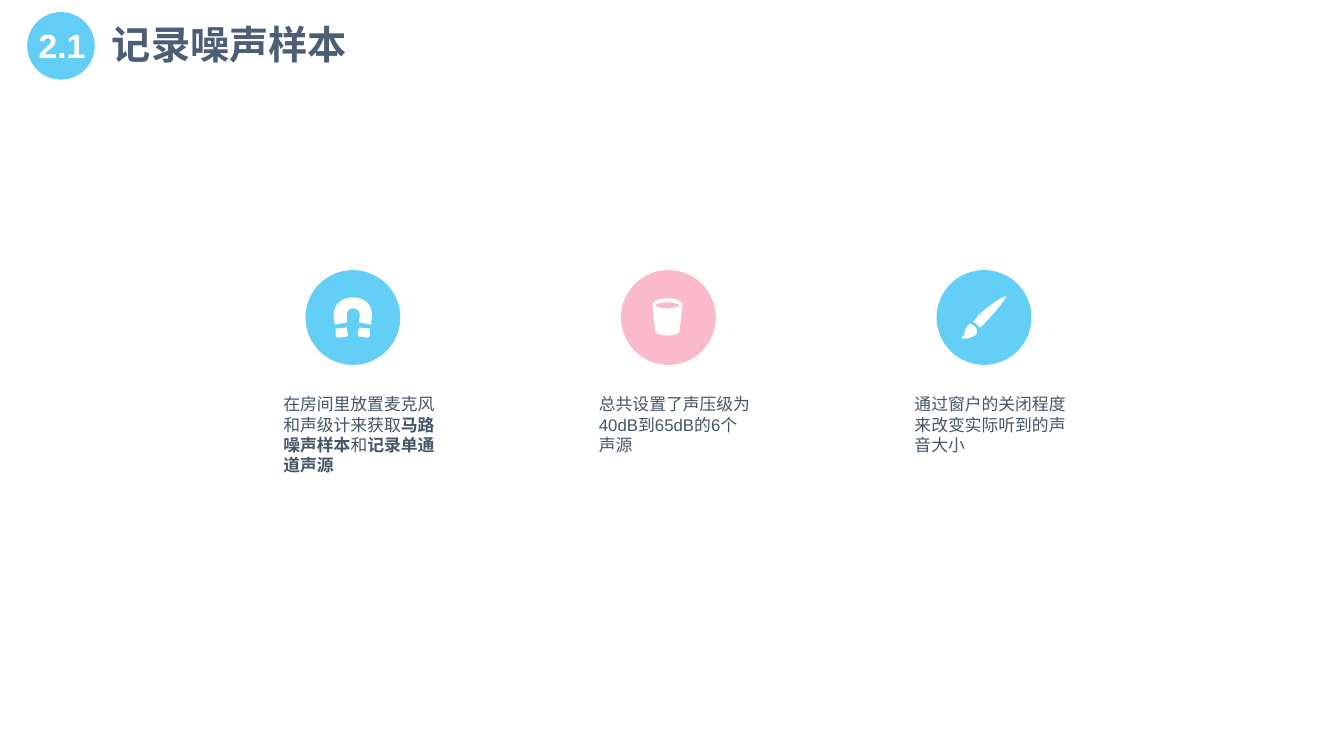
"""Build the slide on recording noise samples, with three icon columns."""
from dataclasses import dataclass

from lxml.etree import SubElement
from pptx import Presentation
from pptx.dml.color import RGBColor
from pptx.enum.shapes import MSO_SHAPE
from pptx.enum.text import MSO_ANCHOR, MSO_AUTO_SIZE, PP_ALIGN
from pptx.oxml.ns import qn
from pptx.shapes.autoshape import Shape
from pptx.slide import Slide
from pptx.util import Inches, Pt

Step = tuple[float, ...]
Contour = tuple[Step, ...]


@dataclass(frozen=True)
class Theme:
    font: str = "Arial"
    sky: str = "63CFF6"
    pink: str = "FBB9CC"
    badge: str = "00B0F0"
    badge_opacity: int = 61
    white: str = "FFFFFF"
    body: str = "445469"
    heading: str = "4B5E75"
    body_size: int = 12
    number_size: int = 24
    heading_size: int = 28


@dataclass(frozen=True)
class Phrase:
    text: str
    bold: bool = False


@dataclass(frozen=True)
class Column:
    color: str
    icon: tuple[Contour, ...]
    phrases: tuple[Phrase, ...]
    text_height: float


THEME = Theme()
COLUMN_LEFT, COLUMN_PITCH, DISC_TOP, DISC_SIZE = 3.03, 3.13, 2.68, 0.94
TEXT_INDENT, TEXT_TOP, TEXT_WIDTH = -0.22, 3.91, 1.51
CURVE_STEPS = 8

MAGNET: tuple[Contour, ...] = (
    ((0.52, 0.64), (0.52, 0.65, 0.53, 0.66, 0.54, 0.66), (0.62, 0.67),
     (0.63, 0.67, 0.63, 0.66, 0.64, 0.65), (0.64, 0.58), (0.53, 0.57)),
    ((0.30, 0.58), (0.30, 0.65), (0.30, 0.66, 0.31, 0.67, 0.32, 0.67),
     (0.41, 0.66), (0.41, 0.66, 0.42, 0.65, 0.42, 0.64), (0.41, 0.57)),
    ((0.28, 0.46), (0.29, 0.54), (0.41, 0.52), (0.41, 0.44),
     (0.41, 0.41, 0.43, 0.38, 0.47, 0.38), (0.51, 0.38, 0.54, 0.41, 0.54, 0.44),
     (0.53, 0.52), (0.65, 0.54), (0.66, 0.44),
     (0.66, 0.34, 0.58, 0.27, 0.47, 0.27), (0.36, 0.27, 0.28, 0.34, 0.28, 0.44)),
)
BUCKET: tuple[Contour, ...] = (
    ((0.46, 0.28), (0.36, 0.28, 0.31, 0.32, 0.31, 0.34), (0.34, 0.61),
     (0.34, 0.62, 0.39, 0.65, 0.46, 0.65), (0.53, 0.65, 0.58, 0.62, 0.58, 0.61),
     (0.61, 0.34), (0.61, 0.32, 0.55, 0.28, 0.46, 0.28)),
    ((0.46, 0.38), (0.39, 0.38, 0.34, 0.36, 0.34, 0.35),
     (0.34, 0.34, 0.39, 0.32, 0.46, 0.32), (0.53, 0.32, 0.58, 0.34, 0.58, 0.35),
     (0.58, 0.36, 0.53, 0.38, 0.46, 0.38)),
)
BRUSH: tuple[Contour, ...] = (
    ((0.31, 0.55), (0.27, 0.58, 0.30, 0.62, 0.25, 0.67),
     (0.23, 0.69, 0.34, 0.68, 0.39, 0.64), (0.41, 0.61, 0.40, 0.58, 0.38, 0.56),
     (0.35, 0.53, 0.32, 0.53, 0.31, 0.55)),
    ((0.69, 0.26), (0.67, 0.24, 0.47, 0.39, 0.41, 0.45),
     (0.39, 0.48, 0.38, 0.50, 0.36, 0.51), (0.37, 0.52),
     (0.38, 0.52, 0.39, 0.52, 0.40, 0.54), (0.42, 0.56), (0.43, 0.57),
     (0.44, 0.56, 0.46, 0.55, 0.48, 0.52), (0.54, 0.47, 0.70, 0.27, 0.69, 0.26)),
)

COLUMNS = (
    Column(THEME.sky, MAGNET, (
        Phrase("在房间里放置麦克风和声级计来获取"), Phrase("马路噪声样本", True),
        Phrase("和"), Phrase("记录单通道声源", True)), 0.81),
    Column(THEME.pink, BUCKET,
           (Phrase("总共设置了声压级为40dB到65dB的6个声源"),), 0.61),
    Column(THEME.sky, BRUSH,
           (Phrase("通过窗户的关闭程度来改变实际听到的声音大小"),), 0.61),
)


def paint(shape: Shape, color: str) -> None:
    """Give a shape a flat fill without outline or shadow."""
    shape.shadow.inherit = False
    shape.fill.solid()
    shape.fill.fore_color.rgb = RGBColor.from_string(color)
    shape.line.fill.background()


def add_disc(slide: Slide, left: float, top: float, size: float, color: str) -> Shape:
    """Draw a filled circle."""
    disc = slide.shapes.add_shape(
        MSO_SHAPE.OVAL, Inches(left), Inches(top), Inches(size), Inches(size))
    paint(disc, color)
    return disc


def trace(contour: Contour) -> list[tuple[float, float]]:
    """Turn points and cubic curves into the points of one outline."""
    points = [(contour[0][0], contour[0][1])]
    for step in contour[1:]:
        if len(step) == 2:
            points.append((step[0], step[1]))
            continue
        x0, y0 = points[-1]
        x1, y1, x2, y2, x3, y3 = step
        for index in range(1, CURVE_STEPS + 1):
            t = index / CURVE_STEPS
            a, b, c, d = (1 - t) ** 3, 3 * t * (1 - t) ** 2, 3 * t * t * (1 - t), t ** 3
            points.append((a * x0 + b * x1 + c * x2 + d * x3,
                           a * y0 + b * y1 + c * y2 + d * y3))
    return points


def add_icon(slide: Slide, left: float, top: float, icon: tuple[Contour, ...]) -> None:
    """Draw a white icon whose contours are measured from its disc's corner."""
    outlines = [[(Inches(left + x), Inches(top + y)) for x, y in trace(contour)]
                for contour in icon]
    builder = slide.shapes.build_freeform(*outlines[0][0])
    builder.add_line_segments(outlines[0][1:], close=True)
    for outline in outlines[1:]:
        builder.move_to(*outline[0])
        builder.add_line_segments(outline[1:], close=True)
    paint(builder.convert_to_shape(), THEME.white)


def write_text(box: Shape, phrases: tuple[Phrase, ...], *, size: int, color: str,
               align: PP_ALIGN = PP_ALIGN.LEFT, inset: tuple[float, float] = (0.1, 0.05)) -> None:
    """Fill a box with one paragraph of formatted phrases."""
    frame = box.text_frame
    frame.word_wrap = True
    frame.auto_size = MSO_AUTO_SIZE.NONE
    frame.vertical_anchor = MSO_ANCHOR.TOP
    frame.margin_left = frame.margin_right = Inches(inset[0])
    frame.margin_top = frame.margin_bottom = Inches(inset[1])
    paragraph = frame.paragraphs[0]
    paragraph.alignment = align
    for phrase in phrases:
        run = paragraph.add_run()
        run.text = phrase.text
        run.font.name = THEME.font
        run.font.size = Pt(size)
        run.font.bold = phrase.bold
        run.font.color.rgb = RGBColor.from_string(color)


def add_heading(slide: Slide) -> None:
    """Place the section number badge and the slide title."""
    badge = add_disc(slide, 0.27, 0.12, 0.67, THEME.badge)
    tint = badge.fill._xPr.find(qn("a:solidFill"))[0]
    SubElement(tint, qn("a:alpha")).set("val", str(THEME.badge_opacity * 1000))
    number = slide.shapes.add_textbox(Inches(0.22), Inches(0.2), Inches(0.79), Inches(0.5))
    write_text(number, (Phrase("2.1", True),), size=THEME.number_size,
               color=THEME.white, align=PP_ALIGN.CENTER)
    title = slide.shapes.title
    title.left, title.top = Inches(1.01), Inches(0.15)
    title.width, title.height = Inches(3.64), Inches(0.57)
    write_text(title, (Phrase("记录噪声样本", True),), size=THEME.heading_size,
               color=THEME.heading)


def add_column(slide: Slide, left: float, column: Column) -> None:
    """Draw one disc with its icon and the description below it."""
    add_disc(slide, left, DISC_TOP, DISC_SIZE, column.color)
    add_icon(slide, left, DISC_TOP, column.icon)
    description = slide.shapes.add_textbox(
        Inches(left + TEXT_INDENT), Inches(TEXT_TOP),
        Inches(TEXT_WIDTH), Inches(column.text_height))
    write_text(description, column.phrases, size=THEME.body_size,
               color=THEME.body, inset=(0, 0))


def main() -> None:
    """Build and save the presentation."""
    deck = Presentation()
    deck.slide_width, deck.slide_height = Inches(13.33), Inches(7.5)
    slide = deck.slides.add_slide(deck.slide_layouts[5])
    for index, column in enumerate(COLUMNS):
        add_column(slide, COLUMN_LEFT + index * COLUMN_PITCH, column)
    add_heading(slide)
    deck.save("out.pptx")


if __name__ == "__main__":
    main()
